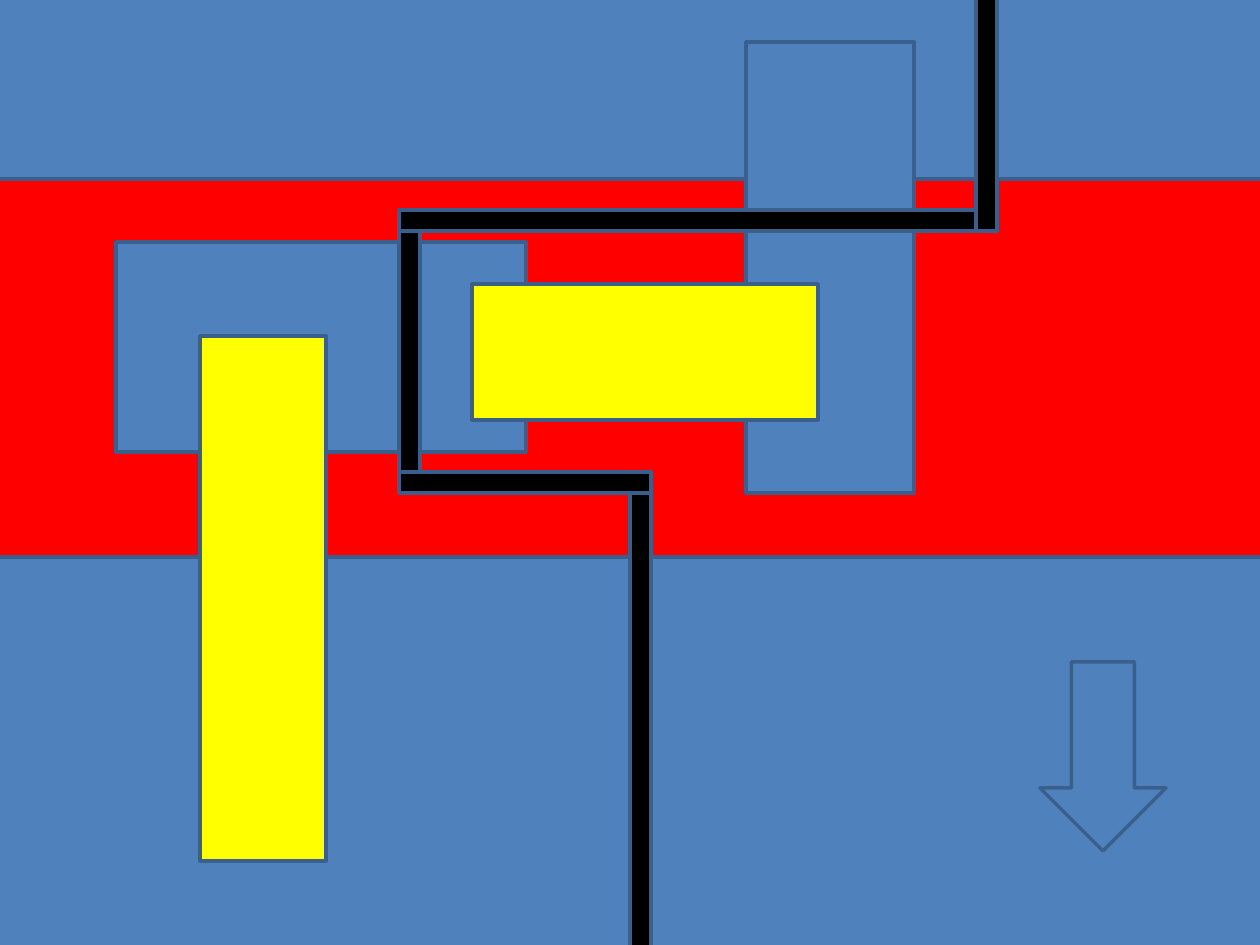
from pptx import Presentation
from pptx.dml.color import RGBColor
from pptx.enum.shapes import MSO_SHAPE as Shape
from pptx.util import Emu, Pt

PX = 914400 // 126
WIDTH, HEIGHT = 1260, 945
WALL = 21
BLUE, RED, YELLOW, BLACK = "4F81BD", "FF0000", "FFFF00", "000000"
OUTLINE = "3A5F8C"


def px(length):
    return Emu(round(length * PX))


def paint(color_format, color):
    color_format.rgb = RGBColor.from_string(color)


def add_block(slide, box, color, kind=Shape.RECTANGLE):
    shape = slide.shapes.add_shape(kind, *map(px, box))
    shape.shadow.inherit = False
    shape.fill.solid()
    paint(shape.fill.fore_color, color)
    paint(shape.line.color, OUTLINE)
    shape.line.width = Pt(2)
    return shape


def add_wall(slide, left, top, length):
    return add_block(slide, (left, top, WALL, length), BLACK)


def add_level_wall(slide, left, top, length):
    """Turn an upright wall about its centre so that it lies in the given row."""
    shift = (length - WALL) / 2
    add_wall(slide, left + shift, top - shift, length).rotation = 270


def add_left_area(slide, box):
    """Red field between two blue bands, with a blue block and a yellow bar."""
    left, top, width, height = box
    add_block(slide, (left - 42, top - 21, width + 73, 850), RED)
    add_block(slide, (left - 74, top - 126, width + 126, 305), BLUE)
    add_block(slide, (left + 116, top + 242, 410, 210), BLUE)
    add_block(slide, (left - 52, top + 557, width + 94, height - 535), BLUE)
    add_block(slide, (left + 200, top + 336, 126, 525), YELLOW)


def add_lower_walls(slide, box):
    left, top, width, height = box
    add_wall(slide, left, top, 252)
    add_level_wall(slide, left, top + 252, width)
    add_wall(slide, left + width - WALL, top + 273, height - 273)


def add_right_area(slide, box):
    """Blue column crossed by the upper walls and a yellow bar."""
    left, top, width, height = box
    add_block(slide, (left + 347, top + 42, 168, 451), BLUE)
    add_level_wall(slide, left, top + 210, width)
    add_wall(slide, left + width - WALL, top - 252, 483)
    add_block(slide, (left + 73, top + 284, 346, 136), YELLOW)


def main():
    presentation = Presentation()
    presentation.slide_width = px(WIDTH)
    presentation.slide_height = px(HEIGHT)
    slide = presentation.slides.add_slide(presentation.slide_layouts[6])
    add_left_area(slide, (0, 0, WIDTH, HEIGHT))
    add_lower_walls(slide, (399, 220, 252, 756))
    add_right_area(slide, (399, 0, 598, HEIGHT))
    add_block(slide, (1040, 662, 126, 189), BLUE, Shape.DOWN_ARROW)
    presentation.save("out.pptx")


if __name__ == "__main__":
    main()
